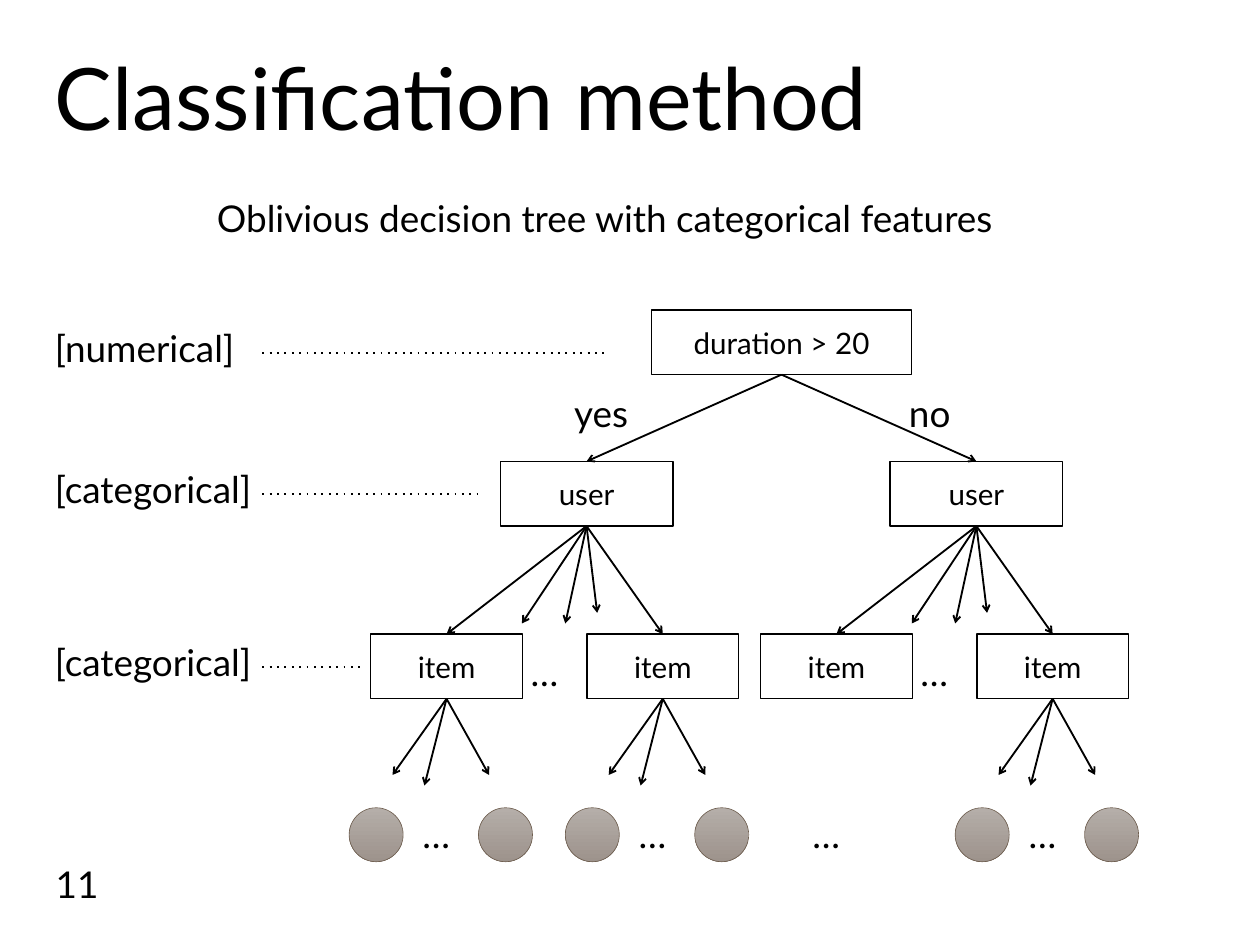
from dataclasses import dataclass

from lxml.etree import SubElement
from pptx import Presentation
from pptx.dml.color import RGBColor
from pptx.enum.shapes import MSO_CONNECTOR, MSO_SHAPE
from pptx.enum.text import MSO_ANCHOR, PP_ALIGN
from pptx.oxml.ns import qn
from pptx.shapes.autoshape import Shape
from pptx.shapes.connector import Connector
from pptx.slide import Slide
from pptx.text.text import _Paragraph as Paragraph
from pptx.util import Emu, Pt

PX = 9144  # 100 px to the inch
TOP, BOTTOM = 0, 2  # connection sites of a rectangle


@dataclass(frozen=True)
class Theme:
    font: str = "Lato"
    ink: RGBColor = RGBColor(0, 0, 0)
    paper: RGBColor = RGBColor(255, 255, 255)
    leaf_top: RGBColor = RGBColor(0xB5, 0xAE, 0xA9)
    leaf_bottom: RGBColor = RGBColor(0x9D, 0x93, 0x8C)
    leaf_edge: RGBColor = RGBColor(0x6F, 0x5F, 0x50)
    title_size: int = 70
    label_size: int = 30
    node_size: int = 24


@dataclass(frozen=True)
class Label:
    text: str
    left: int
    top: int
    width: int
    height: int = 61
    filled: bool = False


@dataclass(frozen=True)
class Level:
    """A row of tree nodes, with the feature type named at its left."""
    feature: str
    label_top: int
    dots_y: int
    dots_end: int
    node_text: str
    node_top: int
    node_width: int


@dataclass(frozen=True)
class Offset:
    """A loose arrow tip: x from the parent's middle, y on the page."""
    dx: int
    y: int


THEME = Theme()
FEATURE_WIDTH = 250  # holds the longest feature name on one line
NODE_HEIGHT = 73
LEAF_TOP, LEAF_SIZE = 912, 61
ROOT_CENTER = 882
USER_CENTERS = (662, 1102)
ITEM_OFFSETS = (-158, 86)
BARE_ITEM = 1102 - 158  # its leaves are only hinted at
USER_TIPS = (Offset(12, 692), Offset(-24, 704), Offset(-73, 704))
ITEM_TIPS = (Offset(-61, 875), Offset(-25, 887), Offset(48, 875))
LEAF_OFFSETS = (-110, 36)

ROOT = Level("[numerical]", 363, 399, 687, "duration > 20", 350, 293)
USER = Level("[categorical]", 522, 558, 540, "user", 521, 195)
ITEM = Level("[categorical]", 717, 753, 406, "item", 716, 171)

LABELS = (
    Label("Oblivious decision tree with categorical features", 235, 216, 928, 73, True),
    Label("yes", 638, 436, 85),
    Label("no", 1016, 436, 85),
)


def px(length: int) -> Emu:
    return Emu(length * PX)


def set_font(para: Paragraph, size: int) -> None:
    para.font.name = THEME.font
    para.font.size = Pt(size)
    para.font.color.rgb = THEME.ink


def add_title(page: Slide, text: str) -> None:
    title = page.shapes.title
    title.left, title.top, title.width, title.height = map(px, (52, 53, 1318, 112))
    frame = title.text_frame
    frame.text = text
    frame.vertical_anchor = MSO_ANCHOR.TOP
    frame.margin_top = frame.margin_bottom = px(8)
    para = frame.paragraphs[0]
    para.alignment = PP_ALIGN.LEFT
    para.line_spacing = Pt(76)
    set_font(para, THEME.title_size)


def add_page_number(page: Slide, number: int) -> None:
    box = page.shapes.add_textbox(px(53), px(977), px(90), px(42))
    box.text_frame.text = str(number)
    box.text_frame.vertical_anchor = MSO_ANCHOR.MIDDLE
    set_font(box.text_frame.paragraphs[0], THEME.label_size)


def add_label(page: Slide, label: Label) -> None:
    box = page.shapes.add_textbox(
        px(label.left), px(label.top), px(label.width), px(label.height))
    if label.filled:
        box.fill.solid()
        box.fill.fore_color.rgb = THEME.paper
    box.text_frame.text = label.text
    box.text_frame.word_wrap = False
    para = box.text_frame.paragraphs[0]
    para.space_before = para.space_after = Pt(6)
    set_font(para, THEME.label_size)


def add_ellipsis(page: Slide, left: int, top: int) -> None:
    add_label(page, Label("…", left, top, 73))


def add_node(page: Slide, level: Level, center: int) -> Shape:
    box = page.shapes.add_shape(
        MSO_SHAPE.RECTANGLE, px(center) - px(level.node_width) // 2,
        px(level.node_top), px(level.node_width), px(NODE_HEIGHT))
    box.shadow.inherit = False
    box.fill.solid()
    box.fill.fore_color.rgb = THEME.paper
    box.line.color.rgb = THEME.ink
    box.line.width = Pt(1)
    box.text_frame.text = level.node_text
    box.text_frame.vertical_anchor = MSO_ANCHOR.MIDDLE
    para = box.text_frame.paragraphs[0]
    para.alignment = PP_ALIGN.CENTER
    set_font(para, THEME.node_size)
    return box


def add_line(page: Slide, start: tuple[int, int], end: tuple[int, int],
             ending: str, **values: str) -> Connector:
    """Draw a line whose outline carries one more element, such as a dash."""
    line = page.shapes.add_connector(
        MSO_CONNECTOR.STRAIGHT, *map(px, start), *map(px, end))
    line.line.color.rgb = THEME.ink
    line.line.width = Pt(1.5)
    properties = line._element.spPr
    SubElement(properties.find(qn("a:ln")), qn(ending), **values)
    SubElement(properties, qn("a:effectLst"))
    return line


def add_arrow(page: Slide, parent: Shape, tip: tuple[int, int]) -> Connector:
    arrow = add_line(page, (0, 0), tip, "a:tailEnd", type="arrow")
    arrow.begin_connect(parent, BOTTOM)
    return arrow


def add_branch(page: Slide, parent: Shape, child: Shape) -> None:
    add_arrow(page, parent, (0, 0)).end_connect(child, TOP)


def add_loose_arrows(page: Slide, parent: Shape, center: int,
                     tips: tuple[Offset, ...]) -> None:
    for tip in tips:
        add_arrow(page, parent, (center + tip.dx, tip.y))


def add_leaf(page: Slide, left: int) -> None:
    leaf = page.shapes.add_shape(
        MSO_SHAPE.OVAL, px(left), px(LEAF_TOP), px(LEAF_SIZE), px(LEAF_SIZE))
    leaf.shadow.inherit = False
    leaf.fill.gradient()
    leaf.fill.gradient_angle = 270
    for stop, color in zip(leaf.fill.gradient_stops, (THEME.leaf_top, THEME.leaf_bottom)):
        stop.color.rgb = color
    leaf.line.color.rgb = THEME.leaf_edge
    leaf.line.width = Pt(0.5)


def add_item(page: Slide, center: int) -> Shape:
    """Draw an item node with what hangs below it."""
    item = add_node(page, ITEM, center)
    add_ellipsis(page, center - 37, LEAF_TOP)
    if center != BARE_ITEM:
        add_loose_arrows(page, item, center, ITEM_TIPS)
        for offset in LEAF_OFFSETS:
            add_leaf(page, center + offset)
    return item


def add_tree(page: Slide) -> None:
    root = add_node(page, ROOT, ROOT_CENTER)
    for center in USER_CENTERS:
        user = add_node(page, USER, center)
        add_branch(page, root, user)
        for offset in ITEM_OFFSETS:
            add_branch(page, user, add_item(page, center + offset))
        add_loose_arrows(page, user, center, USER_TIPS)
        add_ellipsis(page, center - 73, 729)


def main() -> None:
    deck = Presentation()
    deck.slide_width, deck.slide_height = px(1422), px(1067)
    page = deck.slides.add_slide(deck.slide_layouts[5])
    add_title(page, "Classification method")
    add_page_number(page, 11)
    for level in (ROOT, USER, ITEM):
        add_label(page, Label(level.feature, 52, level.label_top, FEATURE_WIDTH, filled=True))
        add_line(page, (296, level.dots_y), (level.dots_end, level.dots_y),
                 "a:prstDash", val="dot")
    add_tree(page)
    for label in LABELS:
        add_label(page, label)
    deck.save("out.pptx")


if __name__ == "__main__":
    main()
